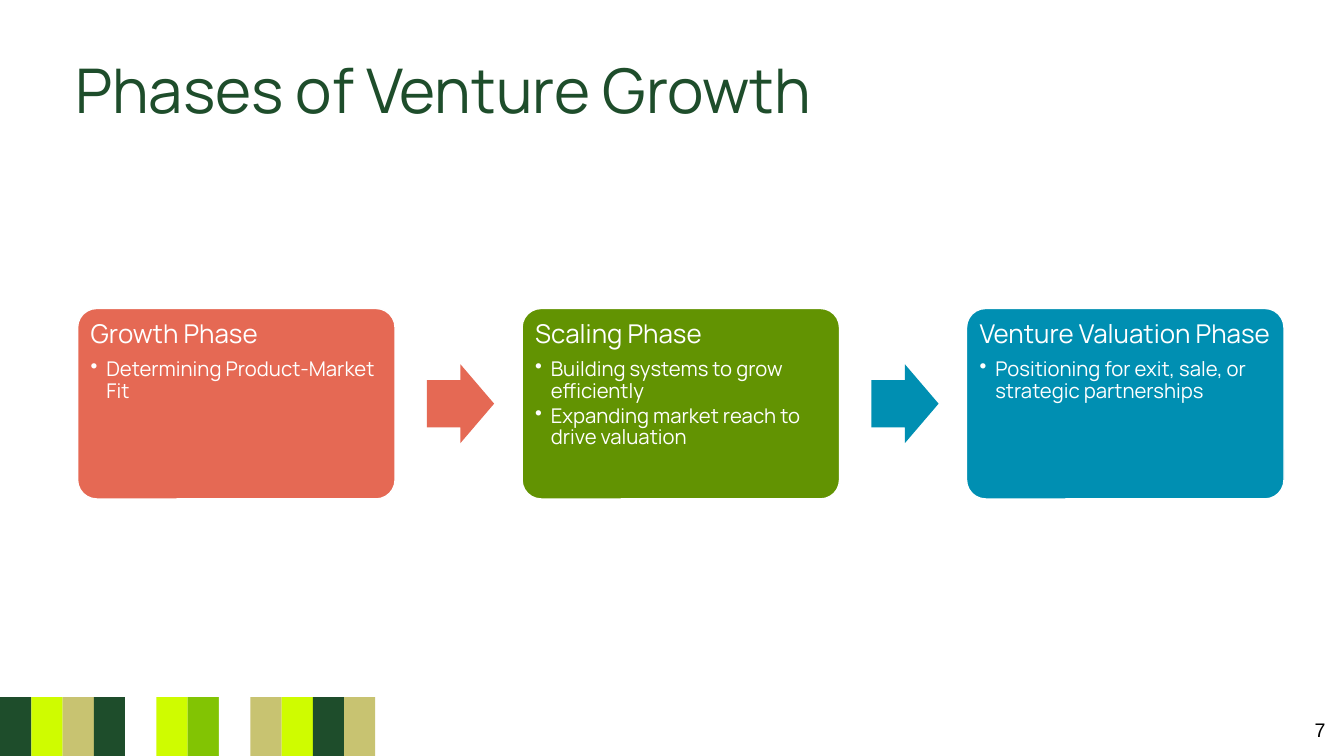
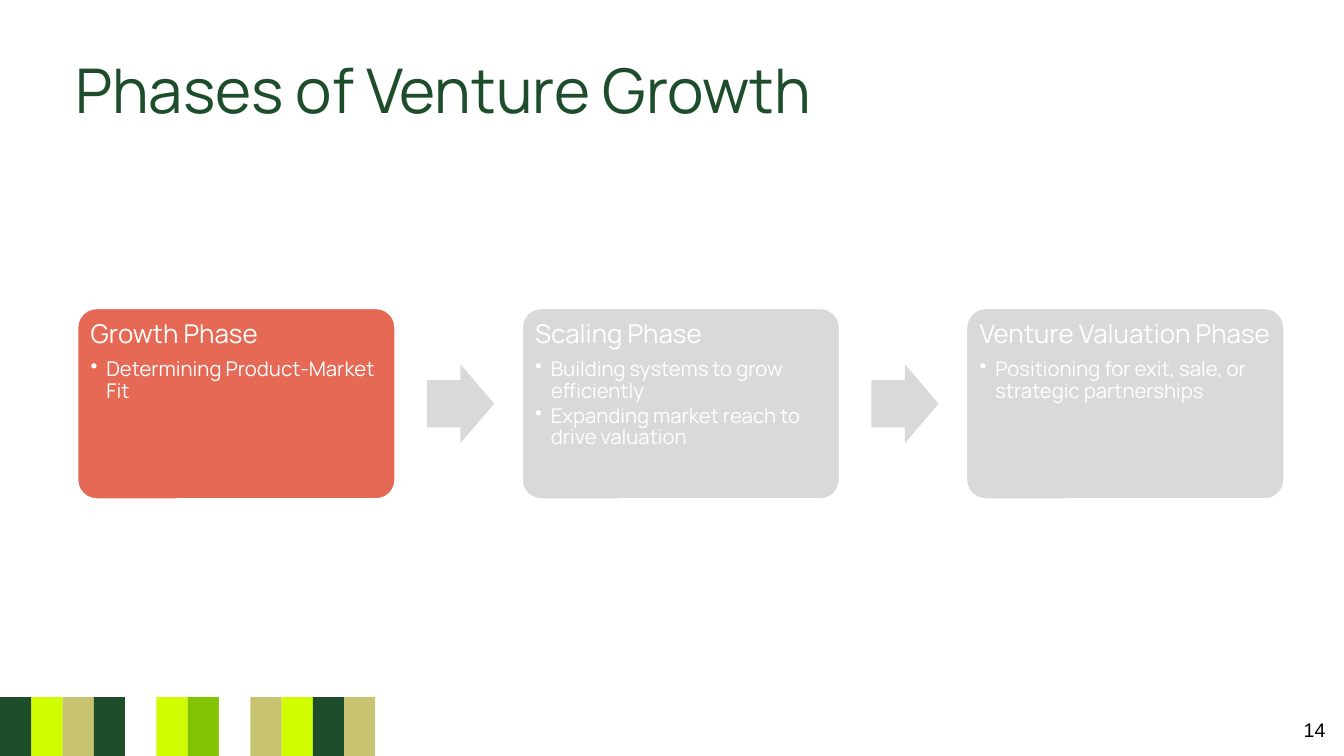
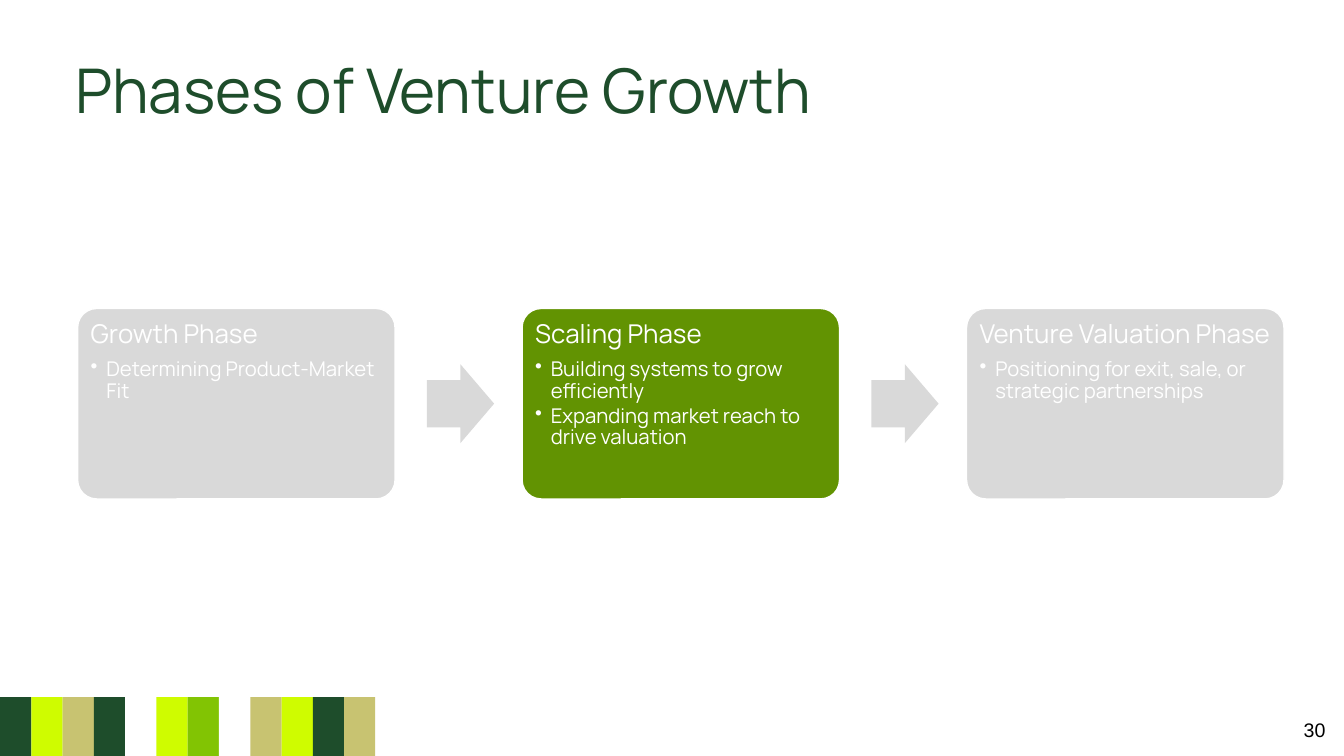
from lxml import etree
from pptx import Presentation
from pptx import util as u
from pptx.dml.color import RGBColor
from pptx.enum import shapes, text
from pptx.oxml.ns import qn

WIDTH, HEIGHT = 26.67, 15

# Shared colours and fonts
FOREST, LIME, SAND, LEAF, WHITE = "1E4D2B", "CFFC00", "C8C371", "82C403", "FFFFFF"
CORAL, GREEN, BLUE, MUTED, BLACK = "E56954", "629302", "008FB2", "D9D9D9", "000000"
HEADING_FONT, NUMBER_FONT = "Manrope", "Arial"

# Footer band: equal stripes along the bottom edge
STRIPES = [FOREST, LIME, SAND, FOREST, WHITE, LIME, LEAF,
           WHITE, SAND, LIME, FOREST, SAND, WHITE]
BAND_WIDTH, BAND_HEIGHT = 8.07, 1.17

# Phase row: a grid of square units, one phase every 14 units
UNIT = 0.63
ROW_LEFT, ROW_TOP = 1.54, 6.12
PHASE_STEP, CARD_COLUMNS, CARD_ROWS = 14, 10, 6
ARROW_COLUMN, ARROW_COLUMNS, ARROW_ROWS = 11, 2.12, 2.48

TITLE = "Phases of Venture Growth"
PHASES = [
    ("Growth Phase", CORAL, ["Determining Product-Market Fit"]),
    ("Scaling Phase", GREEN, ["Building systems to grow efficiently",
                              "Expanding market reach to drive valuation"]),
    ("Venture Valuation Phase", BLUE,
     ["Positioning for exit, sale, or strategic partnerships"]),
]
ARROW_COLORS = [CORAL, BLUE]

# Slide number and the highlighted phase (None shows every phase)
SLIDES = [(7, None), (14, 0), (30, 1)]


def color(value):
    return RGBColor.from_string(value)


def box(left, top, width, height):
    return [u.Inches(length) for length in (left, top, width, height)]


def cells(column, row, columns, rows):
    """Place a box on the grid of the phase row."""
    return box(ROW_LEFT + column * UNIT, ROW_TOP + row * UNIT, columns * UNIT, rows * UNIT)


def add_filled(container, kind, place, fill, adjustments=()):
    shape = container.add_shape(kind, *place)
    shape.shadow.inherit = False
    shape.fill.solid()
    shape.fill.fore_color.rgb = color(fill)
    shape.line.fill.background()
    for index, value in enumerate(adjustments):
        shape.adjustments[index] = value
    return shape


def add_run(paragraph, words, size, font, fill):
    run = paragraph.add_run()
    run.text = words
    run.font.size = u.Pt(size)
    run.font.name = font
    run.font.color.rgb = color(fill)


def set_frame(frame, anchor, inset):
    frame.word_wrap = True
    frame.vertical_anchor = anchor
    frame.margin_left = frame.margin_right = u.Inches(inset)
    frame.margin_top = frame.margin_bottom = u.Inches(inset)


def set_bullet(paragraph, indent):
    paragraph.level = 1
    properties = paragraph._p.get_or_add_pPr()
    properties.set("marL", str(u.Inches(indent)))
    properties.set("indent", str(-u.Inches(indent)))
    etree.SubElement(properties, qn("a:buChar"), char="•")


def add_band(slide, layout):
    """Build the stripes as one group and hand it to the layout."""
    for placeholder in list(layout.placeholders):
        if placeholder.placeholder_format.type != shapes.PP_PLACEHOLDER.TITLE:
            layout.shapes.element.remove(placeholder.element)
    band = slide.shapes.add_group_shape()
    stripe = BAND_WIDTH / len(STRIPES)
    for index, fill in enumerate(STRIPES):
        place = box(index * stripe, HEIGHT - BAND_HEIGHT, stripe, BAND_HEIGHT)
        add_filled(band.shapes, shapes.MSO_SHAPE.RECTANGLE, place, fill)
    layout.shapes.element.append(band.element)


def set_title(slide):
    title = slide.shapes.title
    title.left, title.top, title.width, title.height = box(1.39, 0.92, 24.25, 1.68)
    frame = title.text_frame
    set_frame(frame, text.MSO_ANCHOR.BOTTOM, 0.1)
    frame.auto_size = text.MSO_AUTO_SIZE.SHAPE_TO_FIT_TEXT
    paragraph = frame.paragraphs[0]
    paragraph.alignment = text.PP_ALIGN.LEFT
    add_run(paragraph, TITLE, 88, HEADING_FONT, FOREST)


def add_slide_number(slide, number):
    frame = slide.shapes.add_textbox(*box(25.39, 14.24, 1.01, 0.49)).text_frame
    frame.word_wrap = True
    frame.vertical_anchor = text.MSO_ANCHOR.MIDDLE
    paragraph = frame.paragraphs[0]
    paragraph.alignment = text.PP_ALIGN.RIGHT
    add_run(paragraph, str(number), 28, NUMBER_FONT, BLACK)


def add_card(container, column, heading, fill, points):
    card = add_filled(container, shapes.MSO_SHAPE.ROUNDED_RECTANGLE,
                      cells(column, 0, CARD_COLUMNS, CARD_ROWS), fill, [0.1])
    card.line.color.rgb = color(WHITE)
    card.line.width = u.Pt(2)
    frame = card.text_frame
    set_frame(frame, text.MSO_ANCHOR.TOP, 0.15)
    for index, words in enumerate([heading, *points]):
        paragraph = frame.paragraphs[0] if index == 0 else frame.add_paragraph()
        size, gap = (37, 0.35) if index == 0 else (29, 0.15)
        if index:
            set_bullet(paragraph, 0.31)
        paragraph.alignment = text.PP_ALIGN.LEFT
        paragraph.line_spacing = 0.9
        paragraph.space_after = u.Pt(size * gap)
        add_run(paragraph, words, size, HEADING_FONT, WHITE)


def add_arrow(container, column, fill):
    place = cells(column, (CARD_ROWS - ARROW_ROWS) / 2, ARROW_COLUMNS, ARROW_ROWS)
    add_filled(container, shapes.MSO_SHAPE.RIGHT_ARROW, place, fill, [0.6, 0.5])


def add_phases(slide, highlighted):
    row = slide.shapes.add_group_shape().shapes
    for index, (heading, fill, points) in enumerate(PHASES):
        column = index * PHASE_STEP
        shown = fill if highlighted in (None, index) else MUTED
        add_card(row, column, heading, shown, points)
        if index < len(ARROW_COLORS):
            arrow = ARROW_COLORS[index] if highlighted is None else MUTED
            add_arrow(row, column + ARROW_COLUMN, arrow)


def main():
    presentation = Presentation()
    presentation.slide_width, presentation.slide_height = u.Inches(WIDTH), u.Inches(HEIGHT)
    layout = presentation.slide_layouts.get_by_name("Title Only")
    for index, (number, highlighted) in enumerate(SLIDES):
        slide = presentation.slides.add_slide(layout)
        if index == 0:
            add_band(slide, layout)
        set_title(slide)
        add_slide_number(slide, number)
        add_phases(slide, highlighted)
    presentation.save("out.pptx")


if __name__ == "__main__":
    main()
